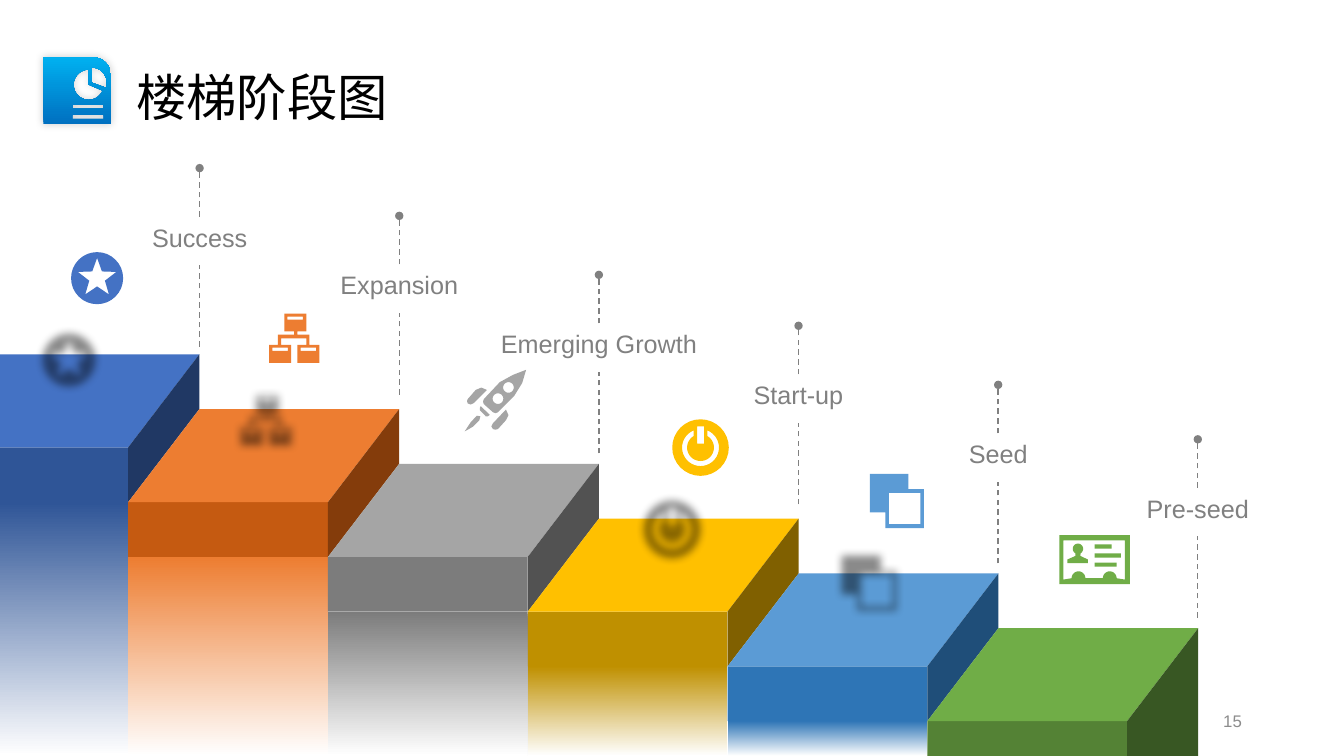
from dataclasses import dataclass
from math import cos, radians, sin

from lxml import etree
from pptx import Presentation
from pptx import util as u
from pptx.dml.color import RGBColor
from pptx.enum import dml, shapes, text
from pptx.oxml.ns import qn

Point = tuple[float, float]
Contour = list[Point]

WIDTH, HEIGHT = 960, 540
PITCH, RISE = 142.7, 39.1  # from one step to the next, across and down
DEPTH_X, DEPTH_Y = 50.8, 66.4  # slant of a step's top face
FIRST_CORNER, FIRST_TOP = 91.6, 253.2
STALK, LOWER_STALK_END = 34.7, 92.9

COLORS = {
    "title": "000000", "label": "808080", "number": "8C8C8C", "white": "FFFFFF",
    "shadow": "000000", "icon_low": "0070C0", "icon_high": "00B0F0",
}


@dataclass
class Shadow:
    opacity: int
    distance: float
    angle: int


@dataclass
class Step:
    label: str
    label_top: float
    label_width: float
    top: str
    front: str
    side: str
    fade: str
    icon: list[Contour]
    icon_shadow: Shadow | None = None


def arc(x: float, y: float, radius: float, start: float = 0, end: float = 360) -> Contour:
    """Points along an arc; angles run clockwise from the right."""
    count = 32
    angles = [radians(start + (end - start) * i / count) for i in range(count + 1)]
    return [(x + radius * cos(a), y + radius * sin(a)) for a in angles]


def box(x: float, y: float, width: float, height: float) -> Contour:
    return [(x, y), (x + width, y), (x + width, y + height), (x, y + height)]


def star(x: float, y: float, outer: float, inner: float) -> Contour:
    return [(x + r * sin(radians(36 * i)), y - r * cos(radians(36 * i)))
            for i, r in enumerate([outer, inner] * 5)]


STAR = [arc(69.4, 198.7, 18.6), star(69.4, 198.7, 14.4, 5.9)]
CHART = [
    [(221, 246.3), (221, 239), (212.4, 239), (212.4, 236.7), (218.9, 236.7), (218.9, 224.1),
     (203.2, 224.1), (203.2, 236.7), (210.2, 236.7), (210.2, 239), (198.6, 239), (198.6, 246.3),
     (192.2, 246.3), (192.2, 259.3), (208.1, 259.3), (208.1, 246.3), (200.9, 246.3),
     (200.9, 241.8), (218.9, 241.8), (218.9, 246.3), (212.4, 246.3), (212.4, 259.3),
     (228.2, 259.3), (228.2, 246.3)],
    box(194.6, 248.4, 11, 2.2), box(205.4, 226.2, 11, 2.2), box(214.8, 248.4, 11, 2.2),
]
ROCKET = [
    [(375.8, 264.2), (366.5, 267.8), (357, 273), (345.6, 285.1), (345, 287), (345.6, 288.7),
     (352.1, 294.5), (354, 295.2), (355.7, 294.5), (367.2, 283), (373, 273.6)],
    arc(355.7, 284.8, 3.8), arc(363.2, 276.8, 3.8),
    [(338.4, 288), (347.8, 278.6), (343.8, 276.9), (339.8, 278.6), (334.1, 285.1),
     (333.6, 286.6), (334.1, 288.2), (336.2, 289)],
    [(352.1, 302.4), (351, 304.6), (352.1, 306.5), (353.9, 307), (355.7, 306.5),
     (361.4, 300.2), (363.2, 296.6), (361.4, 292.6)],
    [(342.7, 291.6), (342.7, 293), (347, 297.4), (348.5, 297.4), (349.9, 296.4), (343.4, 290.2)],
    [(331.9, 308.2), (337.7, 304.9), (342.4, 300.2), (343.1, 297.4), (340.6, 297),
     (336.2, 301.7)],
]
POWER = [
    arc(500.4, 319.7, 20.2), box(498, 304.6, 5, 12.2),
    arc(500.4, 319.7, 13.2, -68, 248) + arc(500.4, 319.7, 9.6, 239, -59),
]
SQUARES = [
    [(648.9, 349.4), (648.9, 338.4), (621.4, 338.4), (621.4, 365.9), (632.4, 365.9),
     (632.4, 377.2), (660, 377.2), (660, 349.4)],
    box(635, 352.1, 22.4, 22.3),
]
CARD = [
    box(756.7, 382.3, 50.4, 35),
    [(759.6, 385.9), (803.5, 385.9), (803.5, 414)]
    + arc(792.7, 413, 4.9, 0, -180) + arc(770.4, 413, 4.9, 0, -180) + [(759.6, 414)],
    [(762.5, 402.3), (762.5, 399.6), (768.2, 397.1)] + arc(770, 392, 3.7, 120, 420)
    + [(771.8, 397.1), (777, 399.6), (777, 402.3)],
    box(781.9, 388.8, 12.2, 3), box(781.9, 395.3, 18.7, 3), box(781.9, 401.8, 15.8, 3),
]
REPORT = [
    [(31, 41)] + arc(66.6, 53.6, 12.6, -90, 0) + [(79.2, 88.6), (31, 88.6)],
    [(63.4, 60.5)] + arc(63.4, 60.5, 10.8, 23, 270),
    [(65.5, 59)] + arc(65.5, 59, 10.8, -90, 20),
    box(51.8, 74.9, 22.3, 2.8), box(51.8, 82.1, 22.3, 2.8),
]

FLOATING = Shadow(46, 62, 109)
STEPS = [
    Step("Success", 154.8, 85, "4472C4", "2F5597", "203864", "2F5597", STAR, FLOATING),
    Step("Expansion", 188.9, 100.8, "ED7D31", "C55A11", "843C0B", "ED7D31", CHART, FLOATING),
    Step("Emerging Growth", 231, 156.2, "A5A5A5", "7C7C7C", "525252", "7C7C7C", ROCKET),
    Step("Start-up", 267.4, 79.2, "FFC000", "BF9000", "806000", "BF9000", POWER, FLOATING),
    Step("Seed", 309.6, 58.3, "5B9BD5", "2E75B6", "1F4E79", "2E75B6", SQUARES, FLOATING),
    Step("Pre-seed", 348.5, 88.6, "70AD47", "548235", "385723", "548235", CARD),
]


def paint(shape, *colors: str, angle: int = 0) -> None:
    """Fill with one colour, or with a gradient between two."""
    shape.shadow.inherit = False
    shape.line.fill.background()
    if len(colors) == 1:
        shape.fill.solid()
        shape.fill.fore_color.rgb = RGBColor.from_string(colors[0])
        return
    shape.fill.gradient()
    shape.fill.gradient_angle = angle
    for stop, color in zip(shape.fill.gradient_stops, colors):
        stop.color.rgb = RGBColor.from_string(color)


def draw_outline(slide, contours: list[Contour]):
    """Draw one shape; contours inside others become holes."""
    scaled = [[(u.Pt(x), u.Pt(y)) for x, y in contour] for contour in contours]
    builder = slide.shapes.build_freeform(*scaled[0][0], scale=1.0)
    builder.add_line_segments(scaled[0][1:], close=True)
    for contour in scaled[1:]:
        builder.move_to(*contour[0])
        builder.add_line_segments(contour[1:], close=True)
    return builder.convert_to_shape()


def draw_block(slide, left: float, top: float, width: float, height: float):
    return slide.shapes.add_shape(shapes.MSO_SHAPE.RECTANGLE,
                                  u.Pt(left), u.Pt(top), u.Pt(width), u.Pt(height))


def cast_shadow(shape, shadow: Shadow) -> None:
    effects = shape._element.spPr.find(qn("a:effectLst"))
    outer = etree.SubElement(effects, qn("a:outerShdw"), blurRad=str(u.Pt(6)),
                             dist=str(u.Pt(shadow.distance)), dir=str(shadow.angle * 60000),
                             algn="ctr", rotWithShape="0")
    color = etree.SubElement(outer, qn("a:srgbClr"), val=COLORS["shadow"])
    etree.SubElement(color, qn("a:alpha"), val=str(shadow.opacity * 1000))


def write(shape, words: str, size: float, color: str, align, wrap: bool = True) -> None:
    frame = shape.text_frame
    frame.text = words
    frame.word_wrap = wrap
    frame.vertical_anchor = text.MSO_ANCHOR.MIDDLE
    paragraph = frame.paragraphs[0]
    paragraph.alignment = align
    paragraph.font.name = "Arial"
    paragraph.font.size = u.Pt(size)
    paragraph.font.color.rgb = RGBColor.from_string(COLORS[color])


def draw_stalk(slide, x: float, start: float, end: float, dot: bool = False) -> None:
    stalk = slide.shapes.add_connector(shapes.MSO_CONNECTOR.STRAIGHT,
                                       u.Pt(x), u.Pt(start), u.Pt(x), u.Pt(end))
    stalk.line.width = u.Pt(1)
    stalk.line.color.rgb = RGBColor.from_string(COLORS["label"])
    stalk.line.dash_style = dml.MSO_LINE.DASH
    properties = stalk._element.spPr
    if dot:
        etree.SubElement(properties.find(qn("a:ln")), qn("a:tailEnd"), type="oval")
    etree.SubElement(properties, qn("a:effectLst"))


def draw_step(slide, index: int, step: Step) -> None:
    corner = FIRST_CORNER + PITCH * index
    left = max(0, corner - PITCH)
    back_left = left + DEPTH_X if index else 0
    back_right = corner + DEPTH_X
    back = FIRST_TOP + RISE * index
    front = back + DEPTH_Y
    bottom = min(front + RISE, HEIGHT)
    side_bottom = HEIGHT if step is STEPS[-1] else back + RISE
    paint(draw_block(slide, left, front, corner - left, bottom - front), step.front)
    paint(draw_outline(slide, [[(back_left, back), (back_right, back),
                                (corner, front), (left, front)]]), step.top)
    paint(draw_outline(slide, [[(corner, front), (back_right, back),
                                (back_right, side_bottom), (corner, bottom)]]), step.side)
    if bottom < HEIGHT:
        fade = draw_block(slide, left, bottom, corner - left, HEIGHT - bottom)
        paint(fade, step.fade, COLORS["white"], angle=270)


def draw_callout(slide, index: int, step: Step) -> None:
    x, top = 142.6 * (index + 1), step.label_top
    draw_stalk(slide, x, top, top - STALK, dot=True)
    label = slide.shapes.add_textbox(u.Pt(x - step.label_width / 2), u.Pt(top),
                                     u.Pt(step.label_width), u.Pt(29))
    write(label, step.label, 18, "label", text.PP_ALIGN.CENTER, wrap=False)
    draw_stalk(slide, x, top + LOWER_STALK_END, top + STALK)


def main() -> None:
    presentation = Presentation()
    presentation.slide_width, presentation.slide_height = u.Pt(WIDTH), u.Pt(HEIGHT)
    slide = presentation.slides.add_slide(presentation.slide_layouts[5])
    title = slide.shapes.title
    title.left, title.top, title.width, title.height = map(u.Pt, (90, 43.2, 509, 51))
    write(title, "楼梯阶段图", 36, "title", text.PP_ALIGN.LEFT)
    number = slide.shapes.add_textbox(u.Pt(678.2), u.Pt(500.4), u.Pt(216), u.Pt(28.8))
    write(number, "15", 12, "number", text.PP_ALIGN.RIGHT)
    for index, step in enumerate(STEPS):
        draw_step(slide, index, step)
    for index, step in enumerate(STEPS):
        draw_callout(slide, index, step)
        icon = draw_outline(slide, step.icon)
        paint(icon, step.top)
        if step.icon_shadow:
            cast_shadow(icon, step.icon_shadow)
    report = draw_outline(slide, REPORT)
    paint(report, COLORS["icon_low"], COLORS["icon_high"], angle=90)
    cast_shadow(report, Shadow(20, 0, 225))
    presentation.save("out.pptx")


if __name__ == "__main__":
    main()
